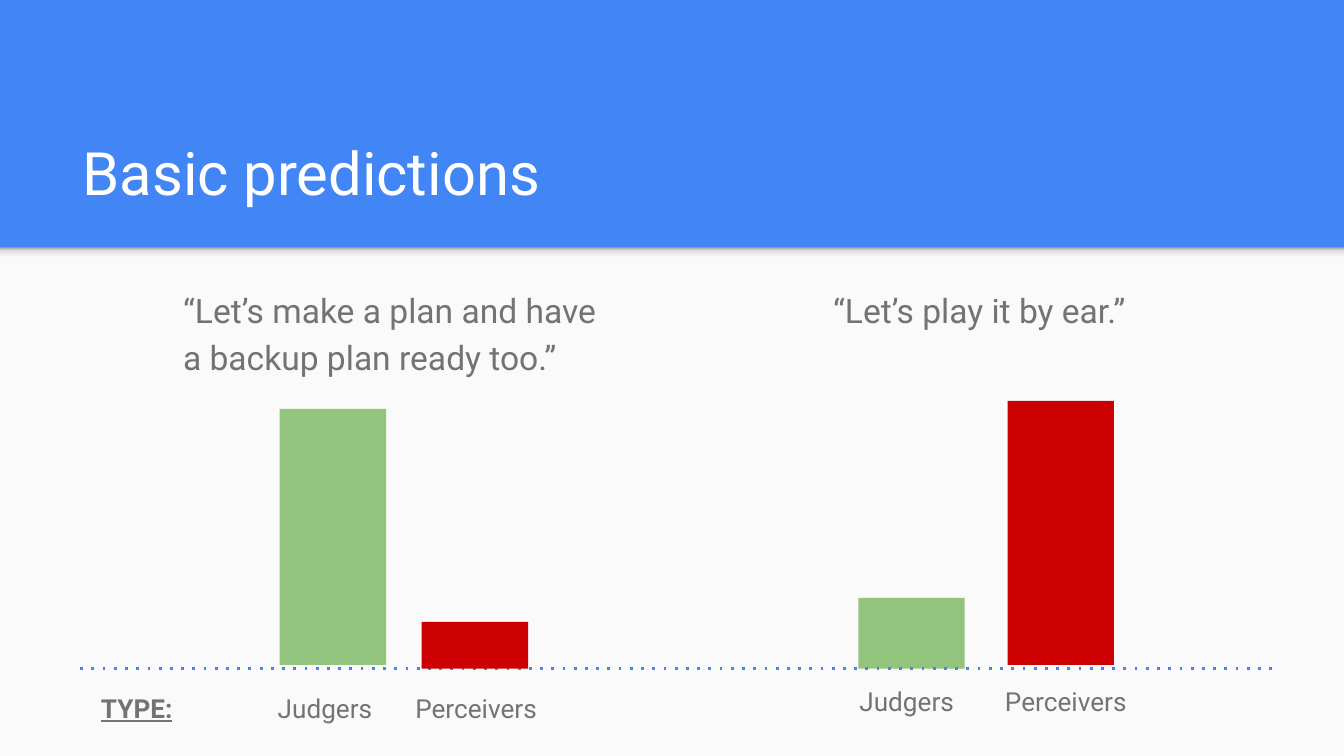
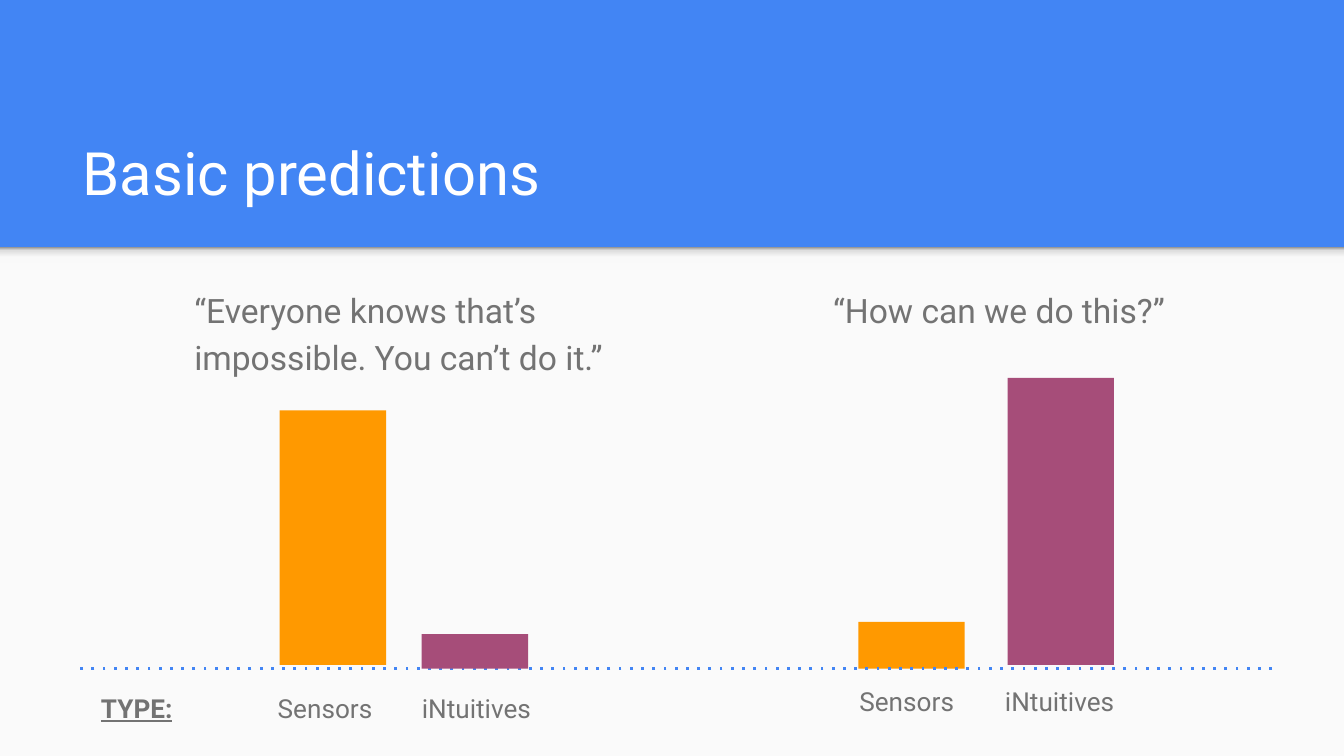
from dataclasses import dataclass

from lxml import etree
from pptx import Presentation
from pptx.dml.color import RGBColor
from pptx.enum import shapes, text
from pptx.oxml.ns import qn
from pptx.util import Pt

TITLE = "Basic predictions"
SCALE_NAME = "TYPE:"

# Each quote: words, left, width, height; bar heights follow the order of types.
# Label indents line the type names up under their bars.
SLIDES = [
    {
        "types": ["Judgers", "Perceivers"],
        "colors": ["93C47D", "CC0000"],
        "left": {
            "quote": ("“Let’s make a plan and have a backup plan ready too.”", 91, 248, 58),
            "bars": [137.2, 25.2],
            "indents": [10.5, 0],
        },
        "right": {
            "quote": ("“Let’s play it by ear.”", 439.2, 181, 34),
            "bars": [38, 141.5],
            "indents": [10.5, 0],
        },
    },
    {
        "types": ["Sensors", "iNtuitives"],
        "colors": ["FF9900", "A64D79"],
        "left": {
            "quote": ("“Everyone knows that’s impossible. You can’t do it.”", 97, 248, 58),
            "bars": [136.5, 18.6],
            "indents": [10.5, 3.5],
        },
        "right": {
            "quote": ("“How can we do this?”", 439.2, 199, 34),
            "bars": [25.2, 153.8],
            "indents": [10.5, 0],
        },
    },
]


@dataclass(frozen=True)
class Theme:
    font: str = "Roboto"
    blue: str = "4285F4"
    panel: str = "FAFAFA"
    white: str = "FFFFFF"
    gray: str = "737373"
    shade: tuple = ((0, "F9F9F9"), (36, "F9F9F9"), (80, "DEDEDE"), (100, "999999"))
    title_size: int = 32
    quote_size: int = 18
    label_size: int = 14
    line_spacing: float = 1.15


THEME = Theme()
WIDTH, HEIGHT = 720, 405
PANEL_TOP, SHADE_HEIGHT = 132.5, 8.6
INSET = 7.2
QUOTE_TOP = 145.1
AXIS_Y, AXIS_LEFT, AXIS_RIGHT = 358.3, 40, 681.5
BAR_WIDTH, TALL_BAR_LIFT = 57, 2
BAR_LEFTS = {"left": (149.8, 225.9), "right": (459.8, 539.8)}
# Label tables: left, top, column width, row height
LABELS = {"left": (-37.3, 362.2, 84.2, 38), "right": (442.7, 358.5, 88.5, 19)}
PLAIN_TABLE_STYLE = "{2D5ABB26-0587-4C30-8999-92F81FD0307C}"


def rgb(color):
    return RGBColor.from_string(color)


def write(frame, words, size, color, spacing=None):
    frame.text = words
    paragraph = frame.paragraphs[0]
    paragraph.alignment = text.PP_ALIGN.LEFT
    paragraph.line_spacing = spacing
    font = paragraph.font
    font.name, font.size, font.color.rgb = THEME.font, Pt(size), rgb(color)
    return font


def set_insets(frame):
    frame.word_wrap = True
    frame.auto_size = text.MSO_AUTO_SIZE.NONE
    frame.margin_left = frame.margin_right = Pt(INSET)
    frame.margin_top = frame.margin_bottom = Pt(INSET)


def add_rectangle(slide, left, top, width, height, color):
    rectangle = slide.shapes.add_shape(
        shapes.MSO_SHAPE.RECTANGLE, Pt(left), Pt(top), Pt(width), Pt(height))
    rectangle.shadow.inherit = False
    rectangle.fill.solid()
    rectangle.fill.fore_color.rgb = rgb(color)
    rectangle.line.fill.background()
    return rectangle


def move_backdrop_to_layout(slide):
    """Draw the pale panel and its top shade, then hand them to the slide's layout."""
    panel = add_rectangle(slide, 0, PANEL_TOP, WIDTH, HEIGHT - PANEL_TOP, THEME.panel)
    shade = add_rectangle(slide, 0, PANEL_TOP, WIDTH, SHADE_HEIGHT, THEME.panel)
    shade.fill.gradient()
    shade.fill.gradient_angle = 90
    stops = next(shade.element.iter(qn("a:gsLst")))
    for stop in list(stops):
        stops.remove(stop)
    for percent, color in THEME.shade:
        stop = etree.SubElement(stops, qn("a:gs"), pos=str(percent * 1000))
        etree.SubElement(stop, qn("a:srgbClr"), val=color)
    layout_tree = slide.slide_layout.shapes.element
    for position, part in enumerate((panel, shade), start=2):
        layout_tree.insert(position, part.element)


def add_title(slide):
    title = slide.shapes.title
    title.left, title.top, title.width, title.height = Pt(37), Pt(58), Pt(647.3), Pt(60.3)
    set_insets(title.text_frame)
    title.text_frame.vertical_anchor = text.MSO_ANCHOR.BOTTOM
    write(title.text_frame, TITLE, THEME.title_size, THEME.white)


def add_quote(slide, words, left, width, height):
    quote = slide.shapes.add_textbox(Pt(left), Pt(QUOTE_TOP), Pt(width), Pt(height))
    set_insets(quote.text_frame)
    write(quote.text_frame, words, THEME.quote_size, THEME.gray, THEME.line_spacing)


def add_bars(slide, side, heights, colors):
    """Stand the bars on the axis, the taller one slightly above it."""
    for left, height, color in zip(BAR_LEFTS[side], heights, colors):
        lift = TALL_BAR_LIFT if height == max(heights) else 0
        add_rectangle(slide, left, AXIS_Y - lift - height, BAR_WIDTH, height, color)


def add_axis(slide):
    axis = slide.shapes.add_connector(
        shapes.MSO_CONNECTOR.STRAIGHT, Pt(AXIS_RIGHT), Pt(AXIS_Y), Pt(AXIS_LEFT), Pt(AXIS_Y))
    axis.line.color.rgb = rgb(THEME.blue)
    axis.line.width = Pt(1.5)
    stroke = next(axis.element.iter(qn("a:ln")))
    etree.SubElement(stroke, qn("a:prstDash"), val="dot")
    etree.SubElement(stroke.getparent(), qn("a:effectLst"))


def add_labels(slide, side, types, indents):
    """Set the type names in a four-column grid; spare columns stay empty."""
    names = list(zip(types, indents))
    if side == "left":
        labels = [("", 0), (SCALE_NAME, 0), *names]
    else:
        labels = [*names, ("", 0), ("", 0)]
    left, top, column_width, row_height = LABELS[side]
    frame = slide.shapes.add_table(
        1, len(labels), Pt(left), Pt(top), Pt(column_width * len(labels)), Pt(row_height))
    next(frame.element.iter(qn("a:tableStyleId"))).text = PLAIN_TABLE_STYLE
    frame.table.first_row = frame.table.horz_banding = False
    for cell, (label, indent) in zip(frame.table.rows[0].cells, labels):
        cell.fill.background()
        cell.margin_left = Pt(INSET + indent)
        cell.margin_right = cell.margin_top = cell.margin_bottom = Pt(INSET)
        font = write(cell.text_frame, label, THEME.label_size, THEME.gray, THEME.line_spacing)
        font.bold = font.underline = label == SCALE_NAME


def add_side(slide, content, side):
    part = content[side]
    add_quote(slide, *part["quote"])
    add_labels(slide, side, content["types"], part["indents"])
    add_bars(slide, side, part["bars"], content["colors"])


def main():
    deck = Presentation()
    deck.slide_width, deck.slide_height = Pt(WIDTH), Pt(HEIGHT)
    background = deck.slide_master.background.fill
    background.solid()
    background.fore_color.rgb = rgb(THEME.blue)
    title_only = deck.slide_layouts[5]
    for number, content in enumerate(SLIDES):
        slide = deck.slides.add_slide(title_only)
        if number == 0:
            move_backdrop_to_layout(slide)
        add_title(slide)
        add_side(slide, content, "right")
        add_axis(slide)
        add_side(slide, content, "left")
    deck.save("out.pptx")


if __name__ == "__main__":
    main()
